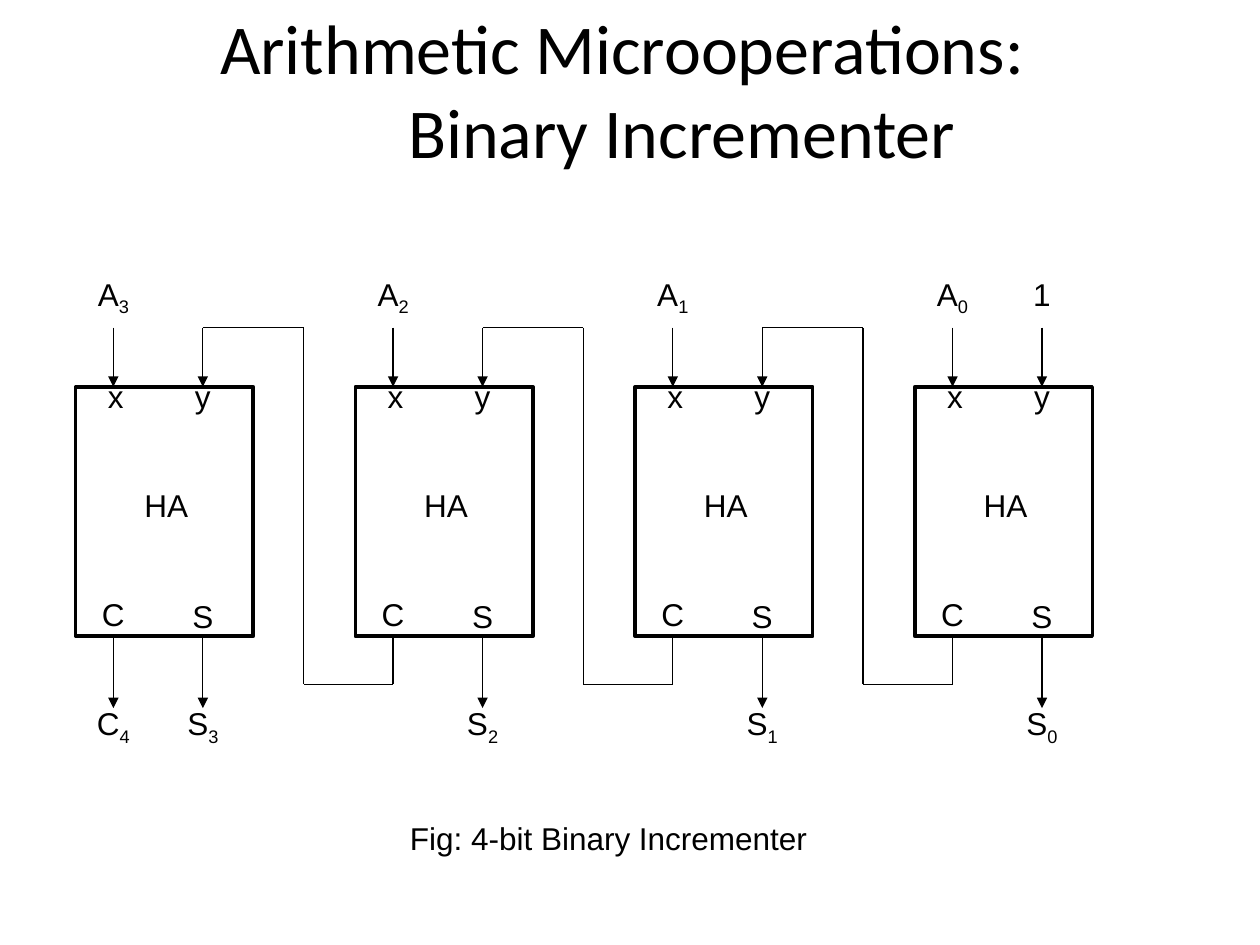
from itertools import pairwise

from pptx import Presentation
from pptx.dml.color import RGBColor
from pptx.enum.shapes import MSO_CONNECTOR, MSO_SHAPE
from pptx.enum.text import MSO_ANCHOR, MSO_AUTO_SIZE, PP_ALIGN
from pptx.oxml.ns import qn
from pptx.util import Inches, Pt
from lxml.etree import SubElement

BLACK = RGBColor(0x00, 0x00, 0x00)
WHITE = RGBColor(0xFF, 0xFF, 0xFF)

ADDER_COUNT = 4
FIRST_LEFT, PITCH = 0.6, 2.22
ADDER_WIDTH, ADDER_TOP, ADDER_BOTTOM = 1.41, 3.07, 5.05
LEFT_PIN, RIGHT_PIN = 0.3, 1.01
INPUT_TOP, OUTPUT_BOTTOM = 2.6, 5.62
CARRY_BOTTOM, CARRY_OFFSET = 5.43, 0.41
INPUT_LABEL_TOP, OUTPUT_LABEL_TOP = 2.13, 5.54


def style_paragraph(para, font_name, size):
    para.alignment = PP_ALIGN.CENTER
    para.font.name = font_name
    para.font.size = Pt(size)
    para.font.color.rgb = BLACK


def add_title(page):
    title = page.shapes.title
    title.left, title.top = Inches(0.5), Inches(0.08)
    title.width, title.height = Inches(9), Inches(1.25)
    frame = title.text_frame
    frame.auto_size = MSO_AUTO_SIZE.NONE
    frame.vertical_anchor = MSO_ANCHOR.MIDDLE
    frame.text = "Arithmetic Microoperations: \vBinary Incrementer"
    para = frame.paragraphs[0]
    style_paragraph(para, "Calibri", 40)
    properties = para._p.get_or_add_pPr()
    properties.set("marL", str(Inches(0.82)))
    properties.set("indent", str(-Inches(0.82)))


def add_label(page, text, center, top, width=0.81, subscript=""):
    box = page.shapes.add_textbox(
        Inches(center - width / 2), Inches(top), Inches(width), Inches(0.4))
    box.text_frame.word_wrap = True
    para = box.text_frame.paragraphs[0]
    style_paragraph(para, "Arial", 18)
    para.add_run().text = text
    if subscript:
        span = para.add_run()
        span.text = subscript
        span.font._element.set("baseline", "-25000")


def add_line(page, start, end, arrow=False):
    line = page.shapes.add_connector(
        MSO_CONNECTOR.STRAIGHT, *(Inches(value) for value in (*start, *end)))
    line.line.color.rgb = BLACK
    line.line.width = Pt(0.75)
    if arrow:
        SubElement(line.line._get_or_add_ln(), qn("a:tailEnd"), type="triangle")
    SubElement(line._element.spPr, qn("a:effectLst"))


def add_input(page, x):
    add_line(page, (x, INPUT_TOP), (x, ADDER_TOP), arrow=True)


def add_output(page, x):
    add_line(page, (x, ADDER_BOTTOM), (x, OUTPUT_BOTTOM), arrow=True)


def add_half_adder(page, left):
    body = page.shapes.add_shape(
        MSO_SHAPE.RECTANGLE, Inches(left), Inches(ADDER_TOP),
        Inches(ADDER_WIDTH), Inches(ADDER_BOTTOM - ADDER_TOP))
    body.shadow.inherit = False
    body.fill.solid()
    body.fill.fore_color.rgb = WHITE
    body.line.color.rgb = BLACK
    body.line.width = Pt(2)
    add_label(page, "x", left + 0.32, 2.94, 0.4)
    add_label(page, "y", left + RIGHT_PIN, 2.94, 0.6)
    add_label(page, "HA", left + 0.72, 3.81, 0.91)
    add_label(page, "C", left + LEFT_PIN, 4.67, 0.6)
    add_label(page, "S", left + RIGHT_PIN, 4.69, 0.6)


def add_carry(page, left):
    """Lead the carry of the adder at left to input y of the one before it."""
    carry, bus = left + LEFT_PIN, left - CARRY_OFFSET
    target = left - PITCH + RIGHT_PIN
    corners = [(carry, ADDER_BOTTOM), (carry, CARRY_BOTTOM), (bus, CARRY_BOTTOM),
               (bus, INPUT_TOP), (target, INPUT_TOP)]
    for start, end in pairwise(corners):
        add_line(page, start, end)
    add_input(page, target)


def add_stage(page, column):
    left = FIRST_LEFT + column * PITCH
    bit = str(ADDER_COUNT - 1 - column)
    left_pin, right_pin = left + LEFT_PIN, left + RIGHT_PIN
    add_half_adder(page, left)
    add_input(page, left_pin)
    add_output(page, right_pin)
    add_label(page, "A", left_pin, INPUT_LABEL_TOP, subscript=bit)
    add_label(page, "S", right_pin, OUTPUT_LABEL_TOP, subscript=bit)
    if column == 0:
        add_output(page, left_pin)
        add_label(page, "C", left_pin, OUTPUT_LABEL_TOP, subscript=str(ADDER_COUNT))
    else:
        add_carry(page, left)
    if column == ADDER_COUNT - 1:
        add_input(page, right_pin)
        add_label(page, "1", right_pin, INPUT_LABEL_TOP)


def main():
    deck = Presentation()
    deck.slide_width, deck.slide_height = Inches(10), Inches(7.5)
    page = deck.slides.add_slide(deck.slide_layouts[5])
    add_title(page)
    for column in range(ADDER_COUNT):
        add_stage(page, column)
    add_label(page, "Fig: 4-bit Binary Incrementer", 4.83, 6.45, 6.08)
    deck.save("out.pptx")


if __name__ == "__main__":
    main()
